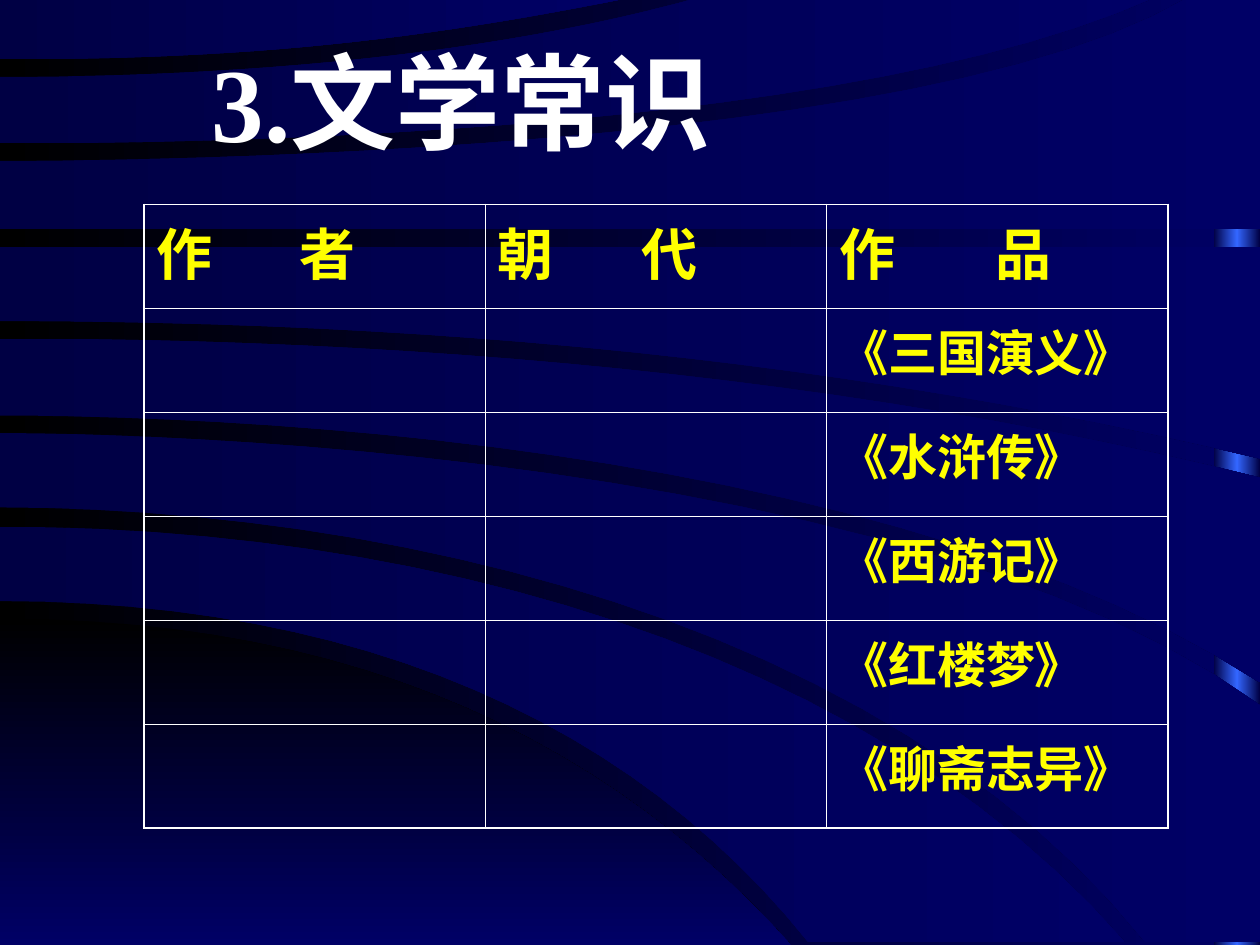
from copy import deepcopy
from dataclasses import dataclass

from lxml import etree
from pptx import Presentation
from pptx.dml.color import RGBColor
from pptx.enum.shapes import MSO_SHAPE
from pptx.oxml.ns import qn
from pptx.util import Pt

RECTANGLE = MSO_SHAPE.RECTANGLE

Point = tuple[float, float]


@dataclass(frozen=True)
class Theme:
    black: str = "000000"
    navy: str = "000044"
    blue: str = "000066"
    glow: str = "3366FF"
    white: str = "FFFFFF"
    yellow: str = "FFFF00"
    font: str = "Times New Roman"
    title_size: float = 60
    header_size: float = 32
    body_size: float = 28
    outer_line: float = 1.08
    inner_line: float = 0.45


@dataclass(frozen=True)
class Edge:
    """Bezier edge that leaves the left side of the slide horizontally."""
    y: float
    lead: float
    control: Point
    end: Point

    def points(self, steps: int = 24) -> list[Point]:
        corners = ((0, self.y), (self.lead, self.y), self.control, self.end)
        result = []
        for i in range(steps + 1):
            t = i / steps
            u = 1 - t
            weights = (u ** 3, 3 * u * u * t, 3 * u * t * t, t ** 3)
            result.append(tuple(sum(w * c[axis] for w, c in zip(weights, corners))
                                for axis in (0, 1)))
        return result


@dataclass(frozen=True)
class Band:
    """Area between two edges, through an optional corner on the right."""
    top: Edge
    bottom: Edge
    corner: tuple[Point, ...] = ()
    colors: tuple[str, str] = (Theme.navy, Theme.blue)
    angle: float = 0


@dataclass(frozen=True)
class Heading:
    text: str
    tab: float


def flat(y: float, width: float) -> Edge:
    return Edge(y, width / 3, (width * 2 / 3, y), (width, y))


THEME = Theme()
WIDTH, HEIGHT = 720, 540
ABOVE, BELOW = -1.5, 538.5
ROW_HEIGHT, COL_WIDTH = 59.4, 195.1

HEADINGS = (Heading("作\t者", 82), Heading("朝\t代", 82), Heading("作\t品", 89.5))
WORKS = ("《三国演义》", "《水浒传》", "《西游记》", "《红楼梦》", "《聊斋志异》")

BANDS = (
    Band(Edge(353.5, 209, (352, 428), (452, HEIGHT)), flat(HEIGHT, 452),
         colors=(THEME.black, THEME.blue), angle=270),
    Band(Edge(301, 231, (493, 366), (643, BELOW)),
         Edge(343.5, 207, (362, 413.5), (462, BELOW))),
    Band(Edge(247.5, 75, (520, 257), (WIDTH, 403)),
         Edge(290, 214, (504.5, 351), (654.5, BELOW)), ((WIDTH, BELOW),)),
    Band(Edge(193.5, 224, (480, 213), (WIDTH, 273)),
         Edge(237.5, 168, (520, 260), (WIDTH, 390))),
    Band(flat(141, WIDTH), Edge(183.5, 243, (480, 204.5), (WIDTH, 262))),
    Band(Edge(92, 77, (529, 88.5), (679, ABOVE)), flat(131, WIDTH), ((WIDTH, ABOVE),)),
    Band(Edge(44, 136, (280, 32), (400, ABOVE)),
         Edge(82, 135, (490, 75), (660, ABOVE))),
    Band(flat(ABOVE, 361), Edge(34, 145, (241, 22.5), (361, ABOVE))),
)


def set_gradient(fill, colors: tuple[str, str], angle: float = 0) -> None:
    fill.gradient()
    fill.gradient_angle = angle
    for stop, color, position in zip(fill.gradient_stops, colors, (0, 1)):
        stop.color.rgb = RGBColor.from_string(color)
        stop.position = position


def strip_outline(sp) -> None:
    sp.line.fill.background()
    sp.shadow.inherit = False


def draw_band(s, band: Band) -> None:
    outline = [*band.top.points(), *band.corner, *reversed(band.bottom.points())]
    first, *rest = [(Pt(x), Pt(y)) for x, y in outline]
    builder = s.shapes.build_freeform(*first)
    builder.add_line_segments(rest, close=True)
    sp = builder.convert_to_shape()
    set_gradient(sp.fill, band.colors, band.angle)
    strip_outline(sp)


def draw_glow_strip(s) -> None:
    """Strip at the right edge, brightest along its middle."""
    sp = s.shapes.add_shape(RECTANGLE, Pt(693.5), 0, Pt(26.5), Pt(HEIGHT))
    set_gradient(sp.fill, (THEME.navy, THEME.navy))
    start = sp._element.spPr.find(".//" + qn("a:gs"))
    start.addnext(deepcopy(start))
    middle = sp.fill.gradient_stops[1]
    middle.position = 0.5
    middle.color.rgb = RGBColor.from_string(THEME.glow)
    strip_outline(sp)


def write(tf, text: str, size: float, color: str, tab: float = 0) -> None:
    p = tf.paragraphs[0]
    p.text = text
    if tab:
        tabs = etree.SubElement(p._p.get_or_add_pPr(), qn("a:tabLst"))
        etree.SubElement(tabs, qn("a:tab"), pos=str(Pt(tab)), algn="l")
    p.font.name, p.font.size, p.font.bold = THEME.font, Pt(size), True
    p.font.color.rgb = RGBColor.from_string(color)


def set_borders(cell, outer: dict[str, bool]) -> None:
    """Draw the four sides of a cell, heavier where the side is on the table's edge."""
    tc_pr = cell._tc.get_or_add_tcPr()
    for i, (side, is_outer) in enumerate(outer.items()):
        width = THEME.outer_line if is_outer else THEME.inner_line
        ln = etree.Element(qn(f"a:{side}"), w=str(Pt(width)))
        solid = etree.SubElement(ln, qn("a:solidFill"))
        etree.SubElement(solid, qn("a:srgbClr"), val=THEME.white)
        tc_pr.insert(i, ln)


def draw_table(s) -> None:
    n_rows, n_cols = len(WORKS) + 1, len(HEADINGS)
    table = s.shapes.add_table(n_rows, n_cols, Pt(82.2), Pt(116.8),
                               Pt(COL_WIDTH * n_cols), Pt(ROW_HEIGHT * n_rows)).table
    table.first_row = table.horz_banding = False
    for i in range(n_rows):
        for j in range(n_cols):
            cell = table.cell(i, j)
            cell.fill.background()
            set_borders(cell, {"lnL": j == 0, "lnR": j == n_cols - 1,
                               "lnT": i == 0, "lnB": i == n_rows - 1})
    for j, heading in enumerate(HEADINGS):
        write(table.cell(0, j).text_frame, heading.text, THEME.header_size,
              THEME.yellow, heading.tab)
    for i, work in enumerate(WORKS, start=1):
        write(table.cell(i, n_cols - 1).text_frame, work, THEME.body_size, THEME.yellow)


def main() -> None:
    prs = Presentation()
    prs.slide_width, prs.slide_height = Pt(WIDTH), Pt(HEIGHT)
    s = prs.slides.add_slide(prs.slide_layouts[6])
    set_gradient(s.background.fill, (THEME.black, THEME.blue))
    draw_glow_strip(s)
    for band in BANDS:
        draw_band(s, band)
    draw_table(s)
    tf = s.shapes.add_textbox(Pt(114), Pt(18), Pt(399), Pt(79)).text_frame
    tf.word_wrap = True
    write(tf, "3.文学常识", THEME.title_size, THEME.white)
    prs.save("out.pptx")


if __name__ == "__main__":
    main()
